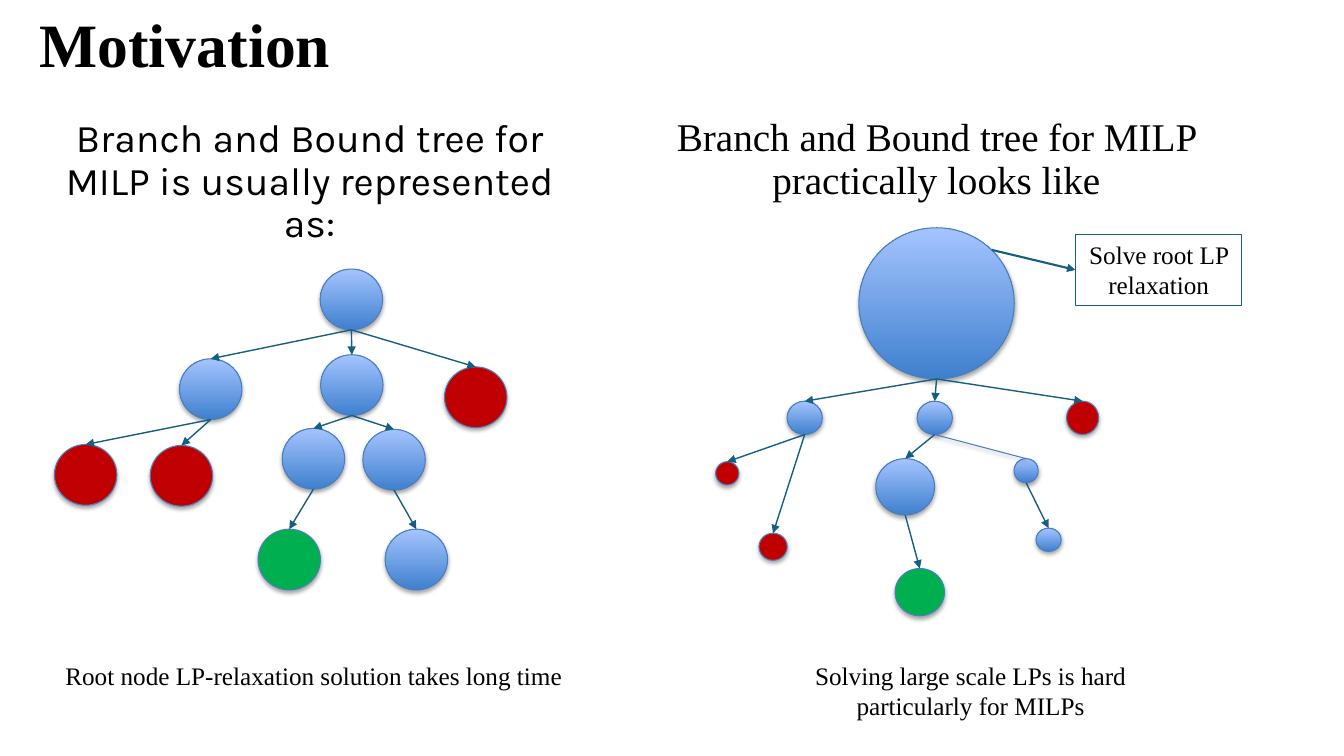
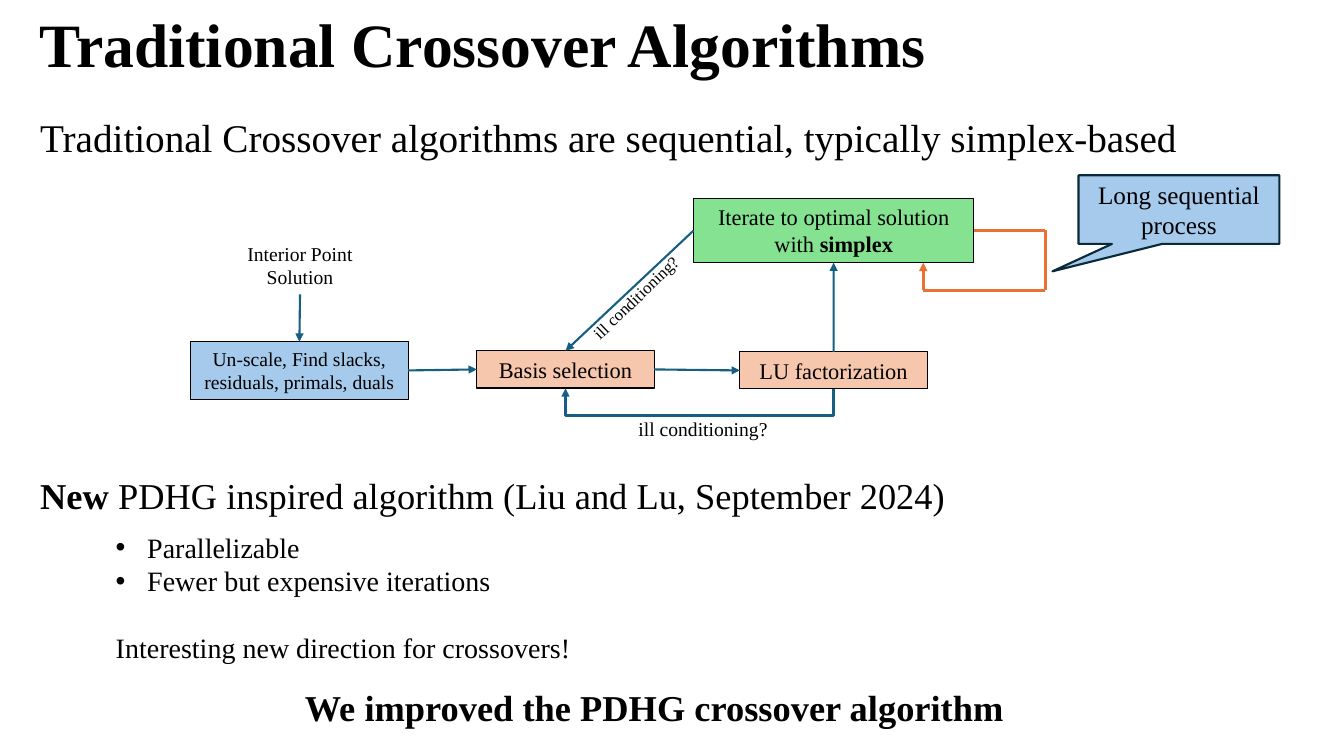
from dataclasses import dataclass
from lxml.etree import SubElement
from pptx import Presentation
from pptx.dml.color import RGBColor
from pptx.enum.shapes import MSO_CONNECTOR as Wire, MSO_SHAPE as Form
from pptx.enum.text import MSO_ANCHOR as Anchor, PP_ALIGN as Align
from pptx.oxml.ns import qn
from pptx.util import Pt


@dataclass(frozen=True)
class Theme:
    serif: str = "Times New Roman"
    sans: str = "Karla"
    ink: str = "000000"
    teal: str = "156082"
    edge: str = "4B7EBC"
    deep: str = "3F80CE"
    pale: str = "A4C4FF"
    red: str = "C00000"
    green: str = "00B050"
    sky: str = "A6CAEC"
    mint: str = "84E291"
    peach: str = "F6C6AD"
    orange: str = "E97132"
    navy: str = "092A39"
    title: int = 44
    head: int = 28
    lead: int = 26
    list: int = 20
    body: int = 18
    box: int = 16
    note: int = 14
    tiny: int = 12
    tight: float = 0.9


T = Theme()
MID, LEFT = Align.CENTER, Align.LEFT
TITLE = (21, 0, 826.5, 67.5)

# Tree nodes: name, parent, centre x, top, width, height, colour (None = blue)
SIZE = (44.6, 43.4)
USUAL = [
    ("root", None, 251, 192.2, *SIZE, None),
    ("left", "root", 150.5, 256.3, *SIZE, None),
    ("mid", "root", 251.3, 253.4, *SIZE, None),
    ("right", "root", 339.8, 262.1, *SIZE, T.red),
    ("left a", "left", 61.2, 317.5, *SIZE, T.red),
    ("left b", "left", 129.6, 318.2, *SIZE, T.red),
    ("mid a", "mid", 223.9, 306, *SIZE, None),
    ("mid b", "mid", 281.5, 306.7, *SIZE, None),
    ("best", "mid a", 206.6, 378, *SIZE, T.green),
    ("last", "mid b", 297.4, 378, *SIZE, None),
]
ACTUAL = [
    ("root", None, 669, 162.7, 111, 108, None),
    ("left", "root", 574.8, 286.6, 25.2, 23.8, None),
    ("mid", "root", 667.7, 286.6, 25.2, 23.8, None),
    ("right", "root", 773.3, 286.6, 23, 23.8, T.red),
    ("left a", "left", 519.5, 329.8, 16.6, 16.6, T.red),
    ("left b", "left", 552.2, 380.9, 20.2, 19.4, T.red),
    ("mid a", "mid", 646.6, 327.6, 42, 40.3, None),
    ("mid b", "mid", 733, 327.6, 17.3, 17.3, None),
    ("best", "mid a", 657, 406.1, 35.3, 33.8, T.green),
    ("last", "mid b", 749, 377.3, 18, 16.6, None),
]
PLAIN = ("mid", "mid b")  # the one link without an arrowhead

# Flow chart: name, place, paragraphs, size, fill
FLOW = [
    ("point", (165, 169.2, 98.6, 41), ["Interior Point", "Solution"],
     T.note, None),
    ("scale", (136.1, 244.1, 155.5, 41),
     ["Un-scale, Find slacks,", "residuals, primals, duals"], T.note, T.sky),
    ("simplex", (495.4, 141.8, 200.2, 45.8),
     [[("Iterate to optimal solution with ", False), ("simplex", True)]],
     T.box, T.mint),
    ("factor", (528.5, 251.3, 133.9, 26.6), ["LU factorization"],
     T.box, T.peach),
    ("basis", (340.6, 250.6, 126.7, 26.6), ["Basis selection"],
     T.box, T.peach),
]
TOP, WEST, FOOT, EAST = range(4)  # connection sites of a rectangle
LINKS = [("scale", EAST, "basis", WEST), ("basis", EAST, "factor", WEST),
         ("factor", TOP, "simplex", FOOT), ("simplex", WEST, "basis", TOP),
         ("point", FOOT, "scale", TOP)]
LOOP = [(695.6, 164.4), (746.6, 164.4), (746.6, 207.4), (659.5, 207.4),
        (659.5, 187.6)]


def rgb(code):
    return RGBColor.from_string(code)


def write(shape, paras, size, align=LEFT, face=T.serif, bold=False,
          space=None, anchor=Anchor.TOP):
    """Fill a shape with paragraphs, each a string or a list of runs."""
    frame = shape.text_frame
    frame.word_wrap = True
    frame.vertical_anchor = anchor
    for i, item in enumerate(paras):
        para = frame.paragraphs[0] if i == 0 else frame.add_paragraph()
        para.alignment = align
        if space:
            para.line_spacing = space
        runs = [(item, bold)] if isinstance(item, str) else item
        for words, heavy in runs:
            run = para.add_run()
            run.text = words
            font = run.font
            font.name, font.size, font.bold = face, Pt(size), heavy
            font.color.rgb = rgb(T.ink)
    return shape


def label(slide, place, paras, size, **style):
    return write(slide.shapes.add_textbox(*map(Pt, place)), paras, size,
                 **style)


def block(slide, form, place, fill, edge, width):
    shape = slide.shapes.add_shape(form, *map(Pt, place))
    shape.shadow.inherit = False
    if fill:
        shape.fill.solid()
        shape.fill.fore_color.rgb = rgb(fill)
    else:
        shape.fill.background()
    shape.line.color.rgb = rgb(edge)
    shape.line.width = Pt(width)
    return shape


def wire(slide, start, end, color=T.teal, width=1.5, arrow=True,
         kind=Wire.STRAIGHT):
    link = slide.shapes.add_connector(kind, *map(Pt, (*start, *end)))
    link.line.color.rgb = rgb(color)
    link.line.width = Pt(width)
    props = link._element.spPr
    if arrow:
        SubElement(props.find(qn("a:ln")), qn("a:tailEnd"), type="triangle")
    SubElement(props, qn("a:effectLst"))
    return link


def shade(shape):
    """Give a shape a soft shadow below."""
    effects = shape._element.spPr.find(qn("a:effectLst"))
    outer = SubElement(effects, qn("a:outerShdw"), blurRad=str(Pt(3.1)),
                       dist=str(Pt(1.8)), dir="5400000", rotWithShape="0")
    color = SubElement(outer, qn("a:srgbClr"), val=T.ink)
    SubElement(color, qn("a:alpha"), val="35000")


def tree(slide, nodes):
    spots = {}
    for name, parent, x, y, w, h, color in nodes:
        ball = block(slide, Form.OVAL, (x - w / 2, y, w, h), color, T.edge,
                     0.75)
        if color is None:
            ball.fill.gradient()
            ball.fill.gradient_angle = 90
            for stop, code in zip(ball.fill.gradient_stops, (T.deep, T.pale)):
                stop.color.rgb = rgb(code)
        shade(ball)
        spots[name] = (x, y, y + h)
    for name, parent, *rest in nodes:
        if parent is None:
            continue
        start = (spots[parent][0], spots[parent][2])
        end = spots[name][:2]
        if nodes is ACTUAL and (parent, name) == PLAIN:
            shade(wire(slide, start, end, T.edge, 0.75, arrow=False))
        else:
            wire(slide, start, end, width=1)


def flow(slide):
    boxes = {}
    for name, place, paras, size, fill in FLOW:
        if fill:
            box = block(slide, Form.RECTANGLE, place, fill, T.ink, 0.75)
            write(box, paras, size, align=MID)
        else:
            box = label(slide, place, paras, size, align=MID)
        boxes[name] = box
    for source, out, target, into in LINKS:
        link = wire(slide, (0, 0), (0, 0))
        link.begin_connect(boxes[source], out)
        link.end_connect(boxes[target], into)


def detour(slide, start, end, drop):
    """Elbow arrow that dips below two points on nearly one level."""
    (x1, y1), (x2, y2) = start, end
    span, rise = x1 - x2, y1 - y2
    left, top = (x1 + x2 - rise) / 2, (y1 + y2 - span) / 2
    link = wire(slide, (left, top), (left + rise, top + span),
                kind=Wire.ELBOW)
    props = link._element.spPr
    frame = props.find(qn("a:xfrm"))
    frame.set("rot", "5400000")
    frame.set("flipH", "1")
    guides = props.find(qn("a:prstGeom")).find(qn("a:avLst"))
    SubElement(guides, qn("a:gd"), name="adj1",
               fmla=f"val {round(-drop / rise * 100000)}")


def bullet(para, indent):
    props = para._p.get_or_add_pPr()
    props.set("marL", str(Pt(indent)))
    props.set("indent", str(-Pt(indent)))
    SubElement(props, qn("a:buFont"), typeface="Arial")
    SubElement(props, qn("a:buChar"), char="•")


def page(deck, words):
    slide = deck.slides.add_slide(deck.slide_layouts[5])
    title = slide.shapes.title
    title.left, title.top, title.width, title.height = map(Pt, TITLE)
    write(title, [words], T.title, bold=True, space=T.tight,
          anchor=Anchor.MIDDLE)
    return slide


def motive(deck):
    slide = page(deck, "Motivation")
    # Headings and trees
    heads = [(21.6, 81.4, T.sans,
              "Branch and Bound tree for MILP is usually represented as:"),
             (469.4, 80.6, T.serif,
              "Branch and Bound tree for MILP practically looks like")]
    for (x, y, face, words), nodes in zip(heads, (USUAL, ACTUAL)):
        label(slide, (x, y, 399, 79), [words], T.head, align=MID, face=face,
              space=T.tight)
        tree(slide, nodes)
    # Captions
    label(slide, (39.6, 468, 373, 29),
          ["Root node LP-relaxation solution takes long time"], T.body)
    label(slide, (563, 468, 260.6, 51),
          ["Solving large scale LPs is hard particularly for MILPs"],
          T.body, align=MID)
    # Remark on the root
    remark = block(slide, Form.RECTANGLE, (768.2, 167.2, 119, 51), None,
                   T.teal, 0.75)
    write(remark, ["Solve root LP relaxation"], T.body, align=MID)
    wire(slide, (708.5, 178.5), (768.2, 192.8))


def cross(deck):
    slide = page(deck, "Traditional Crossover Algorithms")
    label(slide, (21.6, 81.4, 885, 46),
          ["Traditional Crossover algorithms are sequential, "
           "typically simplex-based"], T.head, space=T.tight)
    # Flow chart with its loops
    flow(slide)
    detour(slide, (595.4, 277.9), (404, 277.4), 18.5)
    ask = ["ill conditioning?"]
    label(slide, (448.5, 294.5, 107.5, 24.5), ask, T.note, align=MID)
    slant = label(slide, (404, 201.6, 100, 21.8), ask, T.tiny, align=MID)
    slant.rotation = 316.1
    for start, end in zip(LOOP, LOOP[1:]):
        wire(slide, start, end, T.orange, 2, arrow=end == LOOP[-1])
    # New method
    label(slide, (21.6, 332.6, 900, 46),
          [[("New", True),
            (" PDHG inspired algorithm (Liu and Lu, September 2024)", False)]],
          T.lead, space=T.tight, anchor=Anchor.MIDDLE)
    points = label(slide, (75.6, 375.1, 341.3, 104.4),
                   ["Parallelizable", "Fewer but expensive iterations",
                    "Interesting new direction for crossovers!"], T.list)
    *marked, last = points.text_frame.paragraphs
    for para in marked:
        bullet(para, 22.5)
    last.space_before = Pt(24)
    label(slide, (208.8, 483.8, 517.7, 46),
          ["We improved the PDHG crossover algorithm"], T.lead, align=MID,
          bold=True, space=T.tight, anchor=Anchor.MIDDLE)
    # Callout
    call = block(slide, Form.RECTANGULAR_CALLOUT, (770.4, 125.2, 143.4, 49),
                 T.sky, T.navy, 1.5)
    call.adjustments[0], call.adjustments[1] = -0.63, 0.9
    write(call, ["Long sequential process"], T.body, align=MID,
          anchor=Anchor.MIDDLE)


def main():
    deck = Presentation()
    deck.slide_width, deck.slide_height = Pt(960), Pt(540)
    motive(deck)
    cross(deck)
    deck.save("out.pptx")


if __name__ == "__main__":
    main()
